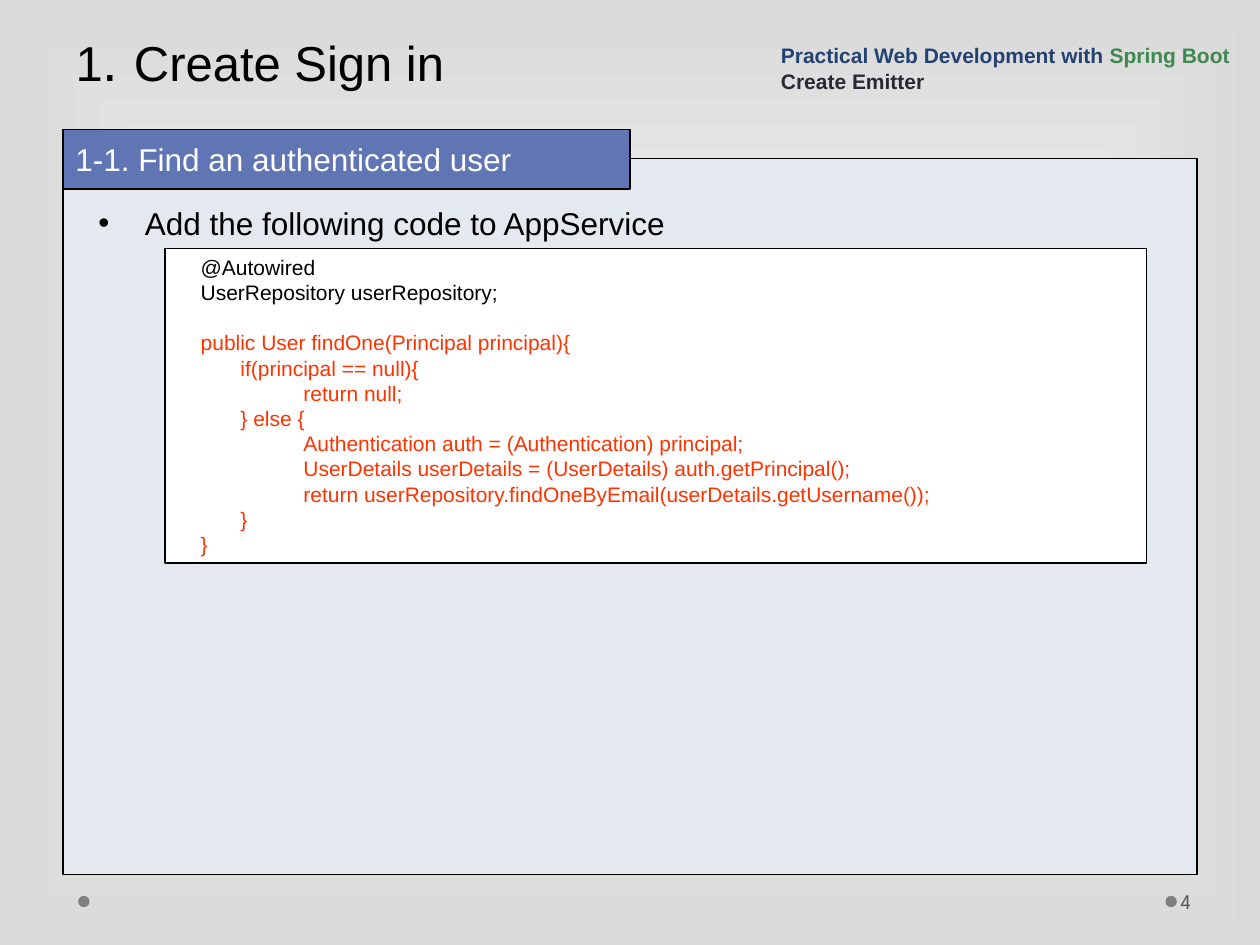
import pptx
import pptx.dml.color
import pptx.enum.shapes
import pptx.enum.text
import pptx.oxml
import pptx.oxml.ns
import pptx.util

Inches = pptx.util.Inches
Pt = pptx.util.Pt
ANCHOR = pptx.enum.text.MSO_ANCHOR
SHAPE = pptx.enum.shapes.MSO_SHAPE
NS = pptx.oxml.ns.nsdecls("a")

BLACK, WHITE, RED = "000000", "FFFFFF", "FF3300"
DECLARATION = """\
    @Autowired
    UserRepository userRepository;
    """.split("\n")
METHOD = """\
    public User findOne(Principal principal){
    \tif(principal == null){
    \t\treturn null;
    \t} else {
    \t\tAuthentication auth = (Authentication) principal;
    \t\tUserDetails userDetails = (UserDetails) auth.getPrincipal();
    \t\treturn userRepository.findOneByEmail(userDetails.getUsername());
    \t}
    }""".split("\n")


def color(code):
    return pptx.dml.color.RGBColor.from_string(code)


def apply(target, values):
    for name, value in values.items():
        setattr(target, name, value)


def place(shape, box):
    names = ("left", "top", "width", "height")
    apply(shape, dict(zip(names, map(Inches, box))))


def raise_top(slide, shape):
    slide.shapes._spTree.append(shape._element)


def add_xml(para, text):
    """Append one element to the paragraph properties."""
    para._p.get_or_add_pPr().append(pptx.oxml.parse_xml(text))


def add_tabs(para, step, count):
    stops = "".join(
        f'<a:tab pos="{Inches(step * i)}" algn="l"/>' for i in range(1, count + 1))
    add_xml(para, f"<a:tabLst {NS}>{stops}</a:tabLst>")


def indent(para, left, first):
    props = para._p.get_or_add_pPr()
    props.set("marL", str(Inches(left)))
    props.set("indent", str(Inches(first)))


def write(shape, lines, size, font="Arial", bold=False, anchor=ANCHOR.TOP):
    """Fill a shape; each line is a list of (text, colour) or (text, colour, size)."""
    frame = shape.text_frame
    apply(frame, {
        "word_wrap": True,
        "auto_size": pptx.enum.text.MSO_AUTO_SIZE.NONE,
        "vertical_anchor": anchor,
    })
    for i, line in enumerate(lines):
        para = frame.add_paragraph() if i else frame.paragraphs[0]
        apply(para, {"alignment": pptx.enum.text.PP_ALIGN.LEFT,
                     "space_before": Pt(0)})
        for text, code, *own in line:
            run = para.add_run()
            run.text = text
            apply(run.font, {"size": Pt(own[0] if own else size),
                             "name": font, "bold": bold})
            run.font.color.rgb = color(code)
    return frame.paragraphs


def add_box(slide, box, fill, kind=SHAPE.RECTANGLE, line=BLACK):
    shape = slide.shapes.add_shape(kind, *map(Inches, box))
    shape.shadow.inherit = False
    shape.fill.solid()
    shape.fill.fore_color.rgb = color(fill)
    if line:
        shape.line.color.rgb = color(line)
        shape.line.width = Pt(0.75)
    else:
        shape.line.fill.background()
    return shape


def add_text(slide, box, lines, size, **style):
    shape = slide.shapes.add_textbox(*map(Inches, box))
    write(shape, lines, size, **style)
    return shape


def set_back(slide):
    """Shade the background from the edges to the middle."""
    fill = slide.background.fill
    fill.gradient()
    for stop, code in zip(fill.gradient_stops, (WHITE, "D9D9D9")):
        stop.color.rgb = color(code)
    grad = slide._element.find(".//" + pptx.oxml.ns.qn("a:gradFill"))
    grad.replace(grad.find(pptx.oxml.ns.qn("a:lin")), pptx.oxml.parse_xml(
        f'<a:path {NS} path="rect"><a:fillToRect l="50000" t="50000" '
        'r="50000" b="50000"/></a:path>'))


def add_title(slide):
    title = slide.shapes.title
    place(title, (0.5, 0, 9, 0.79))
    raise_top(slide, title)
    para = write(title, [[("1", BLACK), (". ", BLACK, 32),
                          ("Create Sign in", BLACK)]],
                 28, anchor=ANCHOR.BOTTOM)[0]
    indent(para, 1.13, -1.13)
    para.line_spacing = Pt(57.9)


def add_list(slide):
    body = slide.placeholders[1]
    place(body, (0.68, 1.57, 7.74, 0.4))
    raise_top(slide, body)
    para = write(body, [[("Add the following code to AppService", BLACK)]], 18)[0]
    indent(para, 0.37, -0.37)
    add_xml(para, f'<a:buFont {NS} typeface="Arial"/>')
    add_xml(para, f'<a:buChar {NS} char="•"/>')


def add_code(slide):
    shape = add_box(slide, (1.31, 1.97, 7.79, 2.5), WHITE)
    lines = [[(text, BLACK)] for text in DECLARATION]
    lines += [[(text, RED)] for text in METHOD]
    for para in write(shape, lines, 12):
        add_tabs(para, 0.5, 7)


def main():
    deck = pptx.Presentation()
    deck.slide_width, deck.slide_height = Inches(10), Inches(7.5)
    slide = deck.slides.add_slide(deck.slide_layouts[1])
    set_back(slide)

    for left in (9.25, 0.62):
        add_box(slide, (left, 7.11, 0.09, 0.09), "7F7F7F", SHAPE.OVAL, None)
    number = add_text(slide, (9.34, 6.95, 0.61, 0.4), [[("4", "595959")]], 12,
                      font="League Spartan", anchor=ANCHOR.MIDDLE)
    number.text_frame.margin_left = Inches(0.03)

    add_box(slide, (0.5, 1.26, 9, 5.68), "E4E9EF")
    add_title(slide)
    section = add_box(slide, (0.5, 1.03, 4.5, 0.47), "6076B4")
    write(section, [[("1-1. Find an authenticated user", WHITE)]],
          18)[0].line_spacing = 1.1
    add_list(slide)
    add_text(slide, (6.1, 0.24, 3.9, 0.55),
             [[("Practical Web Development with ", "234271"),
               ("Spring Boot", "40884F")],
              [("Create Emitter", "292934")]],
             12, bold=True, anchor=ANCHOR.BOTTOM)
    add_code(slide)
    deck.save("out.pptx")


if __name__ == "__main__":
    main()
